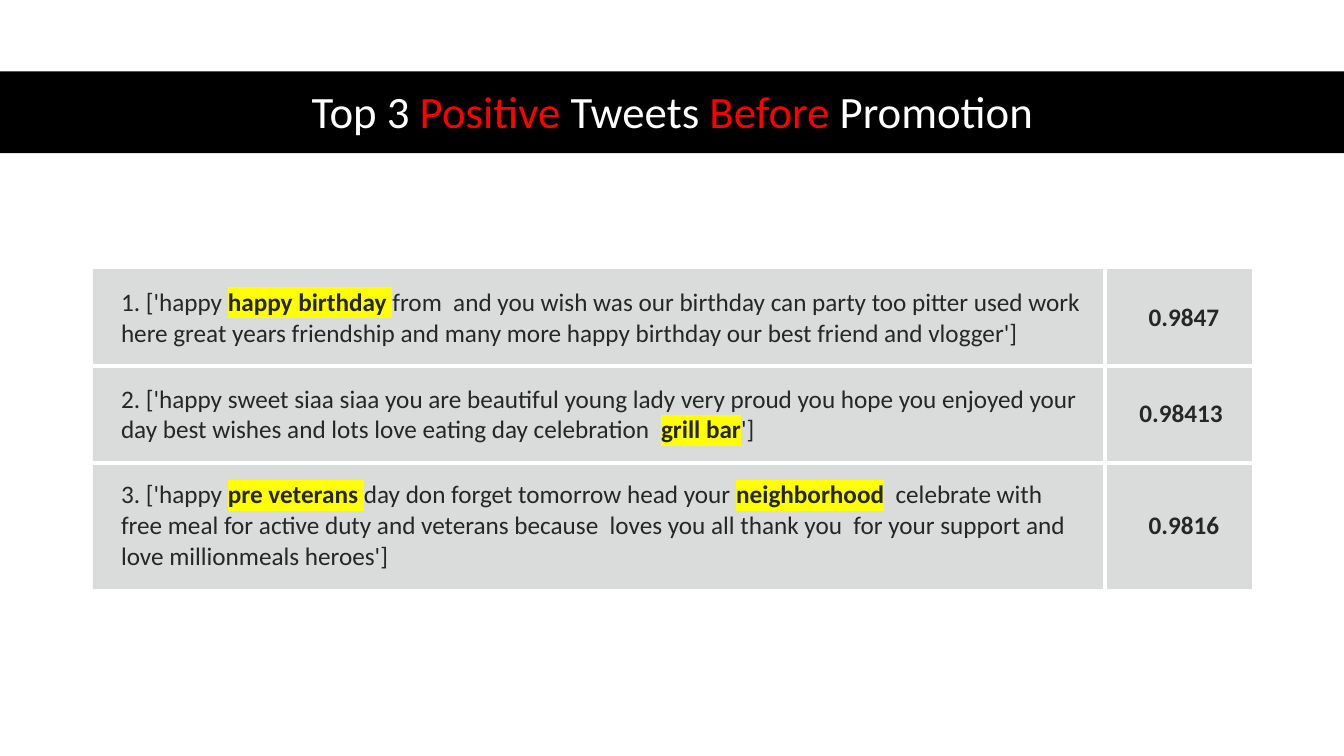
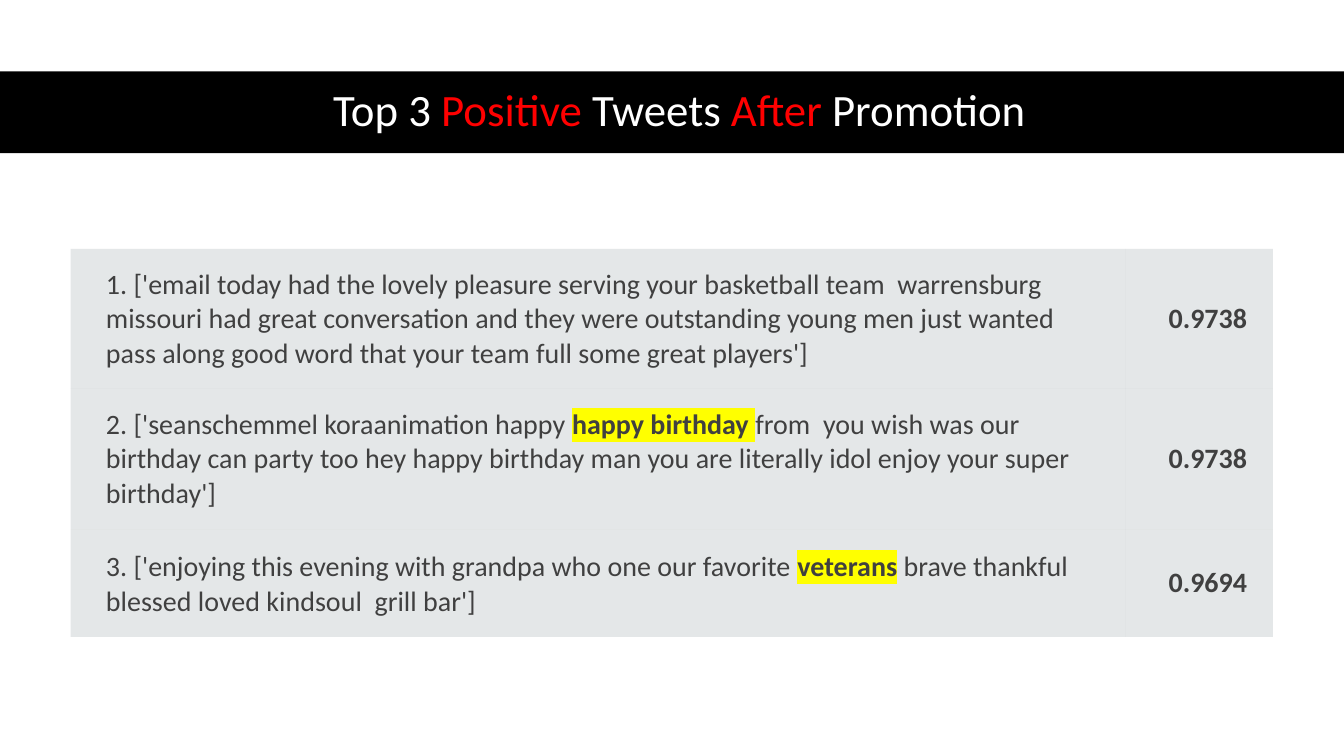
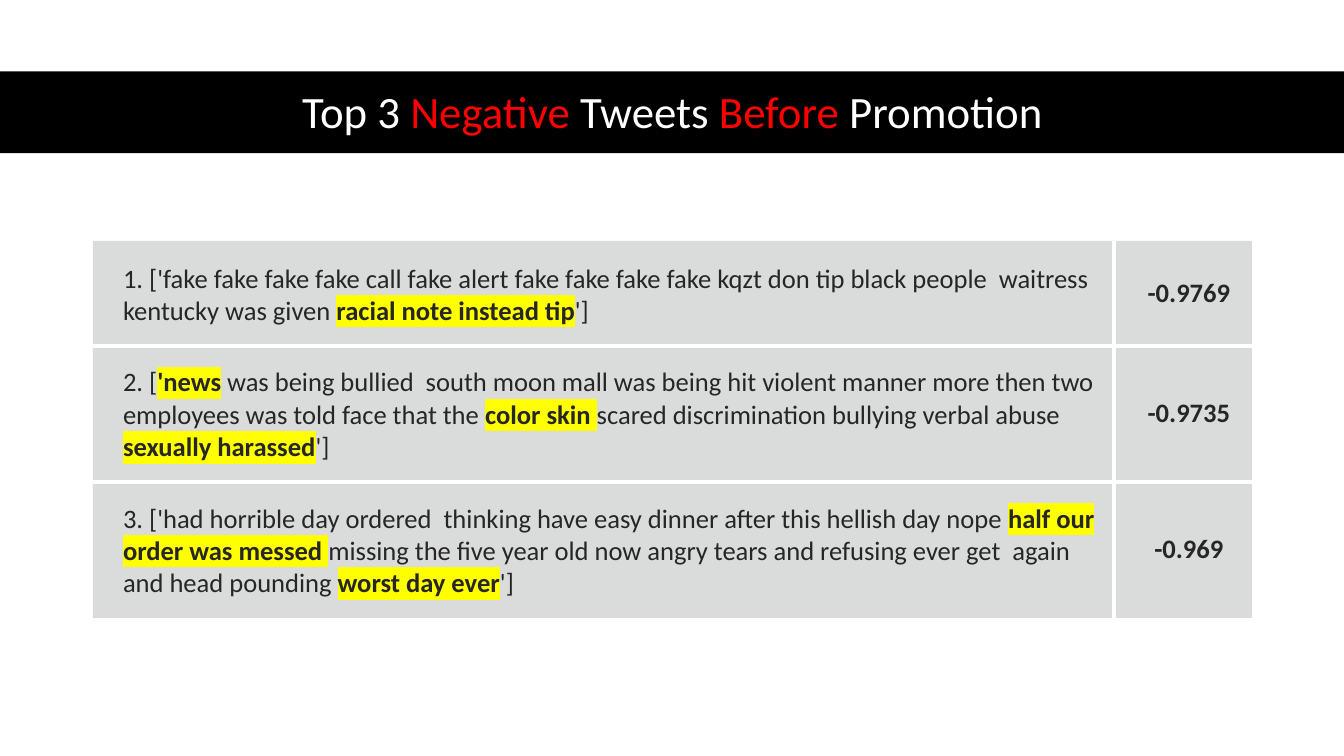
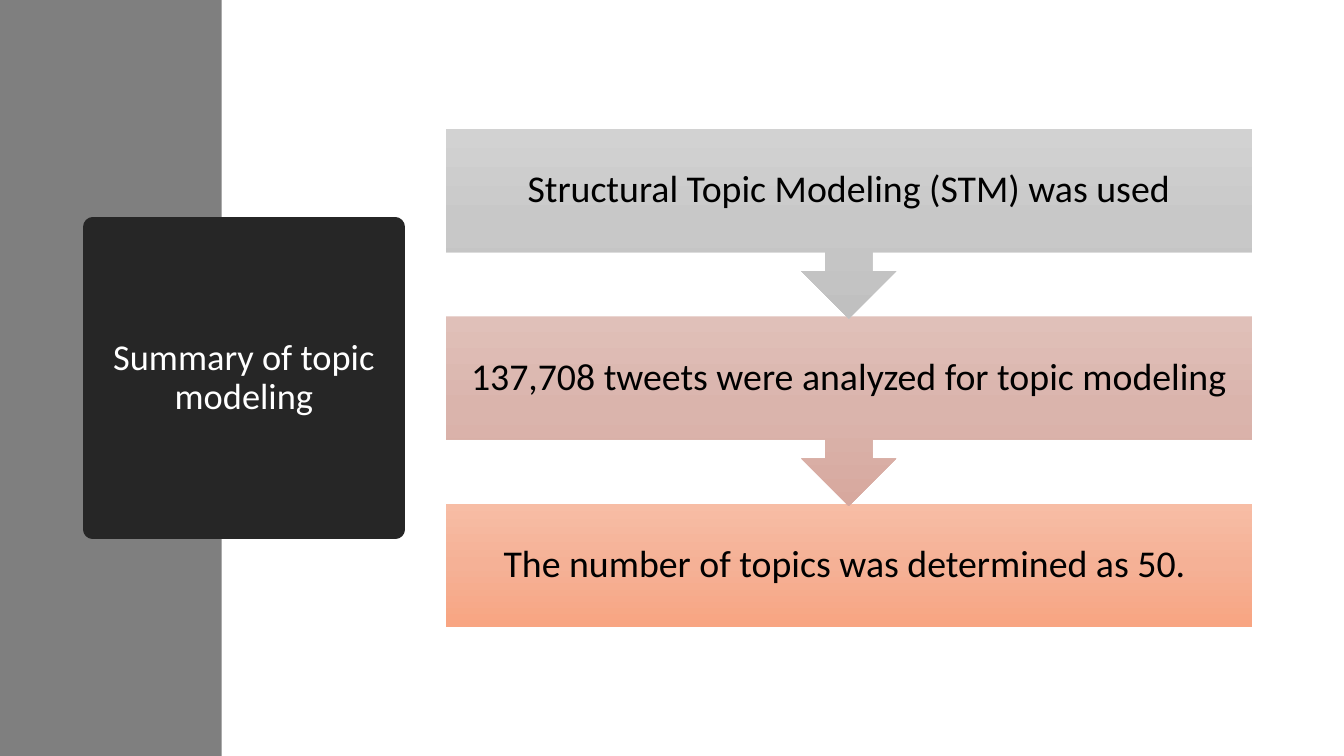
import copy
from dataclasses import dataclass

import lxml.etree
import pptx
import pptx.dml.color
import pptx.enum.shapes
import pptx.enum.text
import pptx.oxml.ns
import pptx.util

Cm = pptx.util.Cm
Pt = pptx.util.Pt
qn = pptx.oxml.ns.qn
ANCHOR = pptx.enum.text.MSO_ANCHOR
ALIGN = pptx.enum.text.PP_ALIGN
SHAPE = pptx.enum.shapes.MSO_SHAPE

FONT = "Calibri"
BLACK, WHITE, RED, YELLOW = "000000", "FFFFFF", "FF0000", "FFFF00"
CHARCOAL, SIDE_GREY = "262626", "7F7F7F"
SLIDE_WIDTH, SLIDE_HEIGHT = 33.87, 19.05
NO_STYLE = "{2D5ABB26-0587-4C30-8999-92F81FD0307C}"
MARK = "*"  # encloses emphasised words


@dataclass(frozen=True)
class Box:
    """A rectangle in centimetres."""
    left: float
    top: float
    width: float
    height: float

    def lengths(self) -> tuple:
        return Cm(self.left), Cm(self.top), Cm(self.width), Cm(self.height)


@dataclass(frozen=True)
class Tweet:
    text: str
    score: str
    height: float


@dataclass(frozen=True)
class TweetSlide:
    title: str
    title_box: Box
    left: float
    top: float
    columns: tuple[float, float]
    indent: float
    padding: float
    size: float
    colour: str
    fill: str
    opacity: int
    ruled: bool
    tweets: tuple[Tweet, ...]


@dataclass(frozen=True)
class Step:
    text: str
    gradient: tuple[str, str, str]


TITLE_BOX = Box(2.34, 1.88, 29.21, 1.98)

TWEET_SLIDES = (
    TweetSlide(
        "Top 3 *Positive* Tweets *Before* Promotion", TITLE_BOX,
        2.34, 6.78, (25.5, 3.71), 0.71, 0.43, 18, CHARCOAL, "878E8B", 30, True,
        (
            Tweet("1. ['happy *happy birthday *from  and you wish was our birthday can party "
                  "too pitter used work  here great years friendship and many more happy "
                  "birthday our best friend and vlogger']", "0.9847", 2.44),
            Tweet("2. ['happy sweet siaa siaa you are beautiful young lady very proud you "
                  "hope you enjoyed your day best wishes and lots love eating day "
                  "celebration  *grill bar*']", "0.98413 ", 2.44),
            Tweet("3. ['happy *pre veterans *day don forget tomorrow head your "
                  "*neighborhood*  celebrate with free meal for active duty and veterans "
                  "because  loves you all thank you  for your support and love "
                  "millionmeals heroes']", "0.9816", 3.18),
        ),
    ),
    TweetSlide(
        "Top 3 *Positive* Tweets *After* Promotion", Box(1.55, 1.78, 31.14, 2.06),
        1.78, 6.27, (26.59, 3.71), 0.89, 0.46, 20, "404040", "B4BCBE", 35, False,
        (
            Tweet("1. ['email today had the lovely pleasure serving your basketball team  "
                  "warrensburg missouri had great conversation and they were outstanding "
                  "young men just wanted pass along good word that your team full some "
                  "great players']", "0.9738", 3.53),
            Tweet("2. ['seanschemmel koraanimation happy *happy birthday *from  you wish "
                  "was our birthday can party too hey happy birthday man you are literally "
                  "idol enjoy your super birthday']", "0.9738", 3.53),
            Tweet("3. ['enjoying this evening with grandpa who one our favorite *veterans* "
                  "brave thankful blessed loved kindsoul  grill bar']", "0.9694", 2.72),
        ),
    ),
    TweetSlide(
        "Top 3 *Negative* Tweets *Before* Promotion", TITLE_BOX,
        2.34, 6.07, (25.73, 3.48), 0.76, 0.46, 19, CHARCOAL, "878E8B", 30, True,
        (
            Tweet("1. ['fake fake fake fake call fake alert fake fake fake fake kqzt don tip "
                  "black people  waitress kentucky was given *racial note instead tip*']",
                  "-0.9769", 2.64),
            Tweet("2. [*'news* was being bullied  south moon mall was being hit violent "
                  "manner more then two employees was told face that the *color skin *scared "
                  "discrimination bullying verbal abuse *sexually harassed*']",
                  "-0.9735", 3.43),
            Tweet("3. ['had horrible day ordered  thinking have easy dinner after this "
                  "hellish day nope *half our order was messed *missing the five year old "
                  "now angry tears and refusing ever get  again and head pounding "
                  "*worst day ever*']", "-0.969", 3.43),
        ),
    ),
)

STEPS = (
    Step("Structural Topic Modeling (STM) was used", ("D2D2D2", "C8C8C8", "C0C0C0")),
    Step("137,708 tweets were analyzed for topic modeling", ("E0C0B9", "DAB4AC", "D7A89E")),
    Step("The number of topics was determined as 50. ", ("F7BDA5", "F5B196", "F8A582")),
)


def rgb(colour: str) -> pptx.dml.color.RGBColor:
    return pptx.dml.color.RGBColor.from_string(colour)


def add_run(paragraph, text: str, size: float, colour: str,
            bold: bool = False, highlight: str = "") -> None:
    run = paragraph.add_run()
    run.text = text
    font = run.font
    font.name, font.size, font.bold = FONT, Pt(size), bold
    font.color.rgb = rgb(colour)
    if highlight:
        marker = lxml.etree.Element(qn("a:highlight"))
        lxml.etree.SubElement(marker, qn("a:srgbClr"), val=highlight)
        font.fill  # the highlight follows the text fill
        run.font._element.find(qn("a:solidFill")).addnext(marker)


def split_emphasis(text: str) -> list[tuple[str, bool]]:
    """Text pieces, each with whether it is emphasised."""
    return [(piece, bool(i % 2)) for i, piece in enumerate(text.split(MARK)) if piece]


def add_panel(slide, kind, box: Box):
    panel = slide.shapes.add_shape(kind, *box.lengths())
    panel.shadow.inherit = False
    panel.line.fill.background()
    return panel


def add_backdrop(slide, box: Box, colour: str) -> None:
    """A plain band behind everything else on the slide."""
    band = add_panel(slide, SHAPE.RECTANGLE, box)
    band.fill.solid()
    band.fill.fore_color.rgb = rgb(colour)
    band.element.getparent().insert(2, band.element)


def set_title(slide, text: str, box: Box, size: float):
    title = slide.shapes.title
    title.left, title.top, title.width, title.height = box.lengths()
    frame = title.text_frame
    frame.word_wrap = True
    frame.auto_size = pptx.enum.text.MSO_AUTO_SIZE.NONE
    frame.vertical_anchor = ANCHOR.MIDDLE
    paragraph = frame.paragraphs[0]
    paragraph.alignment = ALIGN.CENTER
    paragraph.line_spacing = 0.9
    for piece, emphasised in split_emphasis(text):
        add_run(paragraph, piece, size, RED if emphasised else WHITE)
    return title


def rule_cell(cell, sides: list[str]) -> None:
    """White rules; the sides come in schema order L, R, T, B."""
    properties = cell._tc.get_or_add_tcPr()
    for position, side in enumerate(sides):
        rule = lxml.etree.Element(qn(f"a:ln{side}"), w=str(Pt(3)))
        fill = lxml.etree.SubElement(rule, qn("a:solidFill"))
        lxml.etree.SubElement(fill, qn("a:srgbClr"), val=WHITE)
        properties.insert(position, rule)


def format_cell(cell, content: TweetSlide, anchor) -> None:
    cell.margin_left = Cm(content.indent)
    cell.margin_right = cell.margin_top = cell.margin_bottom = Cm(content.padding)
    cell.vertical_anchor = anchor
    cell.fill.solid()
    cell.fill.fore_color.rgb = rgb(content.fill)
    tint = cell._tc.tcPr.find(".//" + qn("a:srgbClr"))
    lxml.etree.SubElement(tint, qn("a:alpha"), val=str(content.opacity * 1000))


def add_tweet_table(slide, content: TweetSlide) -> None:
    box = Box(content.left, content.top, sum(content.columns),
              sum(tweet.height for tweet in content.tweets))
    frame = slide.shapes.add_table(len(content.tweets), 2, *box.lengths())
    table = frame.table
    table.first_row = table.horz_banding = False
    next(frame.element.iter(qn("a:tableStyleId"))).text = NO_STYLE
    for column, width in zip(table.columns, content.columns):
        column.width = Cm(width)

    last = len(content.tweets) - 1
    for i, tweet in enumerate(content.tweets):
        table.rows[i].height = Cm(tweet.height)
        wording, score = table.cell(i, 0), table.cell(i, 1)
        format_cell(wording, content, ANCHOR.BOTTOM)
        format_cell(score, content, ANCHOR.MIDDLE)
        for piece, emphasised in split_emphasis(tweet.text):
            add_run(wording.text_frame.paragraphs[0], piece, content.size, content.colour,
                    emphasised, YELLOW if emphasised else "")
        score_line = score.text_frame.paragraphs[0]
        score_line.alignment = ALIGN.CENTER
        add_run(score_line, tweet.score, content.size, content.colour, True)
        if content.ruled:
            between_rows = ["T"] * (i > 0) + ["B"] * (i < last)
            rule_cell(wording, ["R"] + between_rows)
            rule_cell(score, ["L"] + between_rows)


def fill_gradient(panel, colours: tuple[str, str, str]) -> None:
    """A three-stop gradient from top to bottom."""
    panel.fill.gradient()
    panel.fill.gradient_angle = 270
    stops = panel.element.find(".//" + qn("a:gsLst"))
    stops.insert(1, copy.deepcopy(stops[0]))
    for stop, colour, position in zip(panel.fill.gradient_stops, colours, (0, 0.5, 1)):
        stop.color.rgb = rgb(colour)
        stop.position = position


def add_steps(slide) -> None:
    left, top, width, height, callout_height, pitch = 11.23, 3.25, 20.32, 3.1, 4.78, 4.72
    last = len(STEPS) - 1
    # From the bottom up, so that each arrow tip lies over the next step
    for i, step in reversed(list(enumerate(STEPS))):
        kind = SHAPE.RECTANGLE if i == last else SHAPE.DOWN_ARROW_CALLOUT
        box = Box(left, top + i * pitch, width, height if i == last else callout_height)
        panel = add_panel(slide, kind, box)
        fill_gradient(panel, step.gradient)
        frame = panel.text_frame
        frame.word_wrap = True
        frame.vertical_anchor = ANCHOR.MIDDLE
        frame.margin_left = frame.margin_right = Cm(0.53)
        frame.margin_top = frame.margin_bottom = Cm(0.53)
        paragraph = frame.paragraphs[0]
        paragraph.alignment = ALIGN.CENTER
        paragraph.line_spacing = 0.9
        add_run(paragraph, step.text, 27, BLACK)


def build_tweet_slide(slide, content: TweetSlide) -> None:
    add_backdrop(slide, Box(0, 1.8, SLIDE_WIDTH, 2.06), BLACK)
    set_title(slide, content.title, content.title_box, 32)
    add_tweet_table(slide, content)


def build_summary_slide(slide) -> None:
    add_backdrop(slide, Box(0, 0, 5.59, SLIDE_HEIGHT), SIDE_GREY)
    # Dark title block, its corners rounded by the thick outline
    title = set_title(slide, "Summary of topic modeling", Box(2.34, 5.72, 7.62, 7.62), 26)
    title.fill.solid()
    title.fill.fore_color.rgb = rgb(CHARCOAL)
    title.line.color.rgb = rgb(CHARCOAL)
    title.line.width = Pt(13.75)
    lxml.etree.SubElement(title.element.find(".//" + qn("a:ln")), qn("a:round"))
    add_steps(slide)


def main() -> None:
    deck = pptx.Presentation()
    deck.slide_width, deck.slide_height = Cm(SLIDE_WIDTH), Cm(SLIDE_HEIGHT)
    title_only = deck.slide_layouts[5]
    for content in TWEET_SLIDES:
        build_tweet_slide(deck.slides.add_slide(title_only), content)
    build_summary_slide(deck.slides.add_slide(title_only))
    deck.save("out.pptx")


if __name__ == "__main__":
    main()
